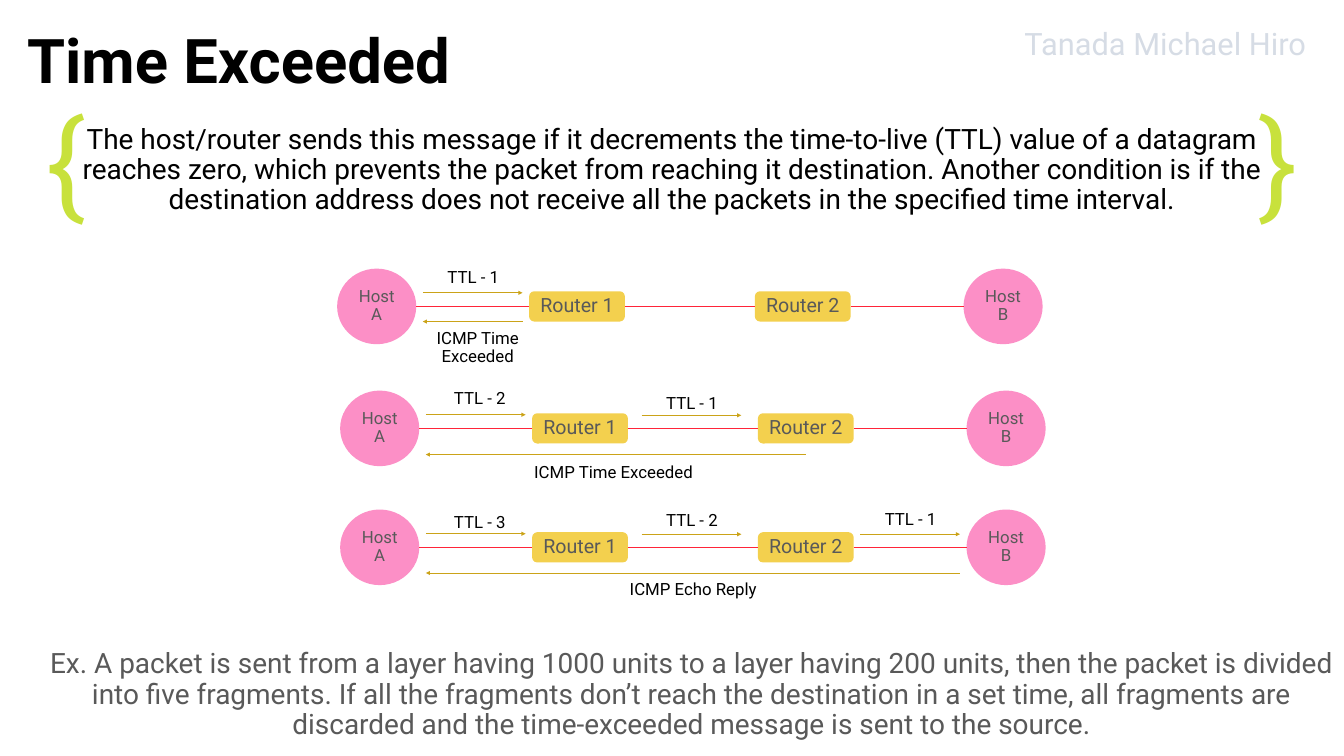
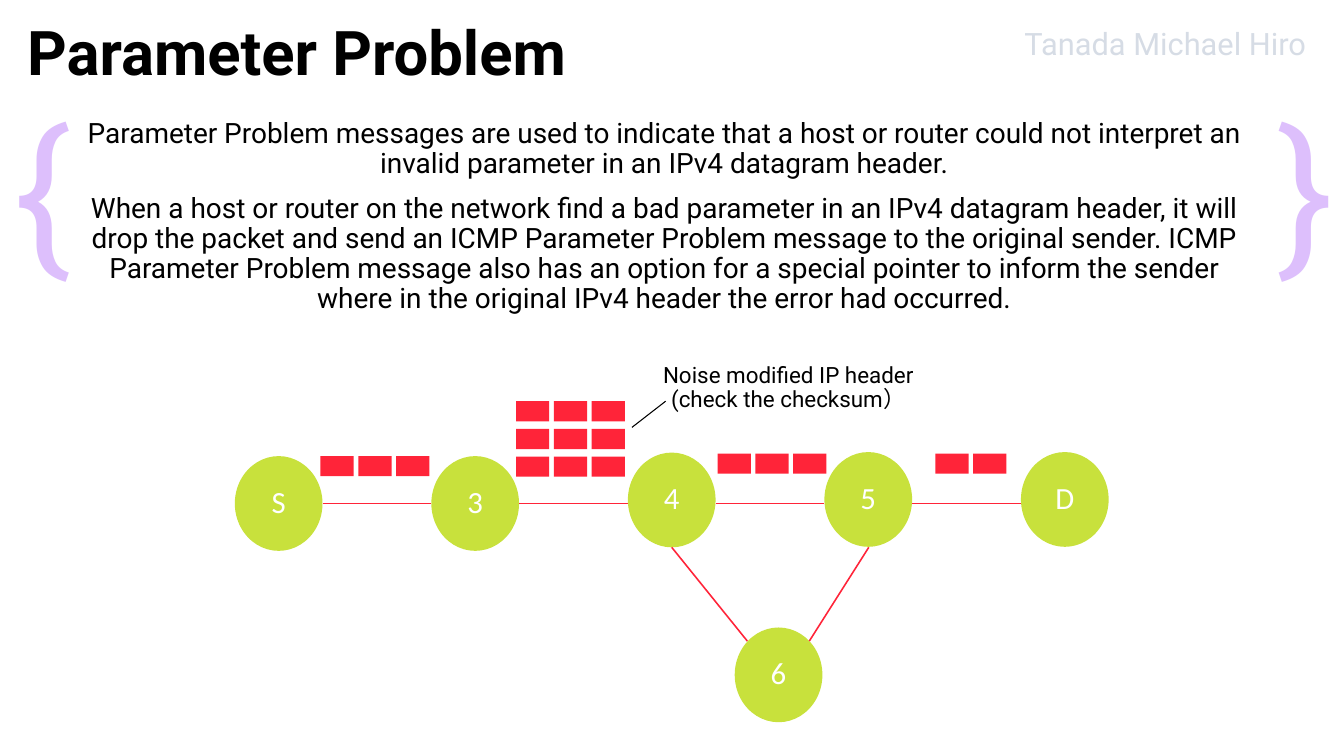
from dataclasses import dataclass
from typing import NamedTuple

from lxml import etree
from pptx import Presentation
from pptx.dml.color import RGBColor
from pptx.enum.shapes import MSO_CONNECTOR, MSO_SHAPE
from pptx.enum.text import MSO_ANCHOR, MSO_AUTO_SIZE, PP_ALIGN
from pptx.oxml.ns import qn
from pptx.util import Emu, Pt

LEFT, CENTER = PP_ALIGN.LEFT, PP_ALIGN.CENTER
TOP, MIDDLE = MSO_ANCHOR.TOP, MSO_ANCHOR.MIDDLE
ELLIPSE, RECT, ROUNDED = MSO_SHAPE.OVAL, MSO_SHAPE.RECTANGLE, MSO_SHAPE.ROUNDED_RECTANGLE
STRAIGHT = MSO_CONNECTOR.STRAIGHT
FIT_SHAPE = MSO_AUTO_SIZE.SHAPE_TO_FIT_TEXT

# Shared look: 100 px to the inch
EMU_PER_PX = 9144
SLIDE_W, SLIDE_H = 2667, 1500
COLORS = {
    "black": "000000",
    "white": "FFFFFF",
    "gray": "595959",
    "pale": "D6DCE5",
    "pink": "FC8FC6",
    "yellow": "F3D04E",
    "red": "FF2439",
    "gold": "CBA318",
    "lime": "C8E13C",
    "lilac": "DDBFFC",
}


class Box(NamedTuple):
    x: int
    y: int
    w: int
    h: int


class Point(NamedTuple):
    x: int
    y: int


@dataclass(frozen=True)
class TextStyle:
    size: int
    color: str = "black"
    align: PP_ALIGN = CENTER
    bold: bool = False
    font: str = "Roboto"


TITLE = TextStyle(88, align=LEFT, bold=True)
AUTHOR = TextStyle(44, "pale", LEFT)
BODY = TextStyle(40)
EXAMPLE = TextStyle(40, "gray")
HOST = TextStyle(24, "gray")
ROUTER = TextStyle(28, "gray")
HOP_LABEL = TextStyle(24, align=LEFT)
REPLY_LABEL = TextStyle(24)
NODE = TextStyle(44, "white", font="Calibri")
NOTE = TextStyle(32)


# Drawing helpers
def px(length: int) -> Emu:
    return Emu(length * EMU_PER_PX)


def rgb(name: str) -> RGBColor:
    return RGBColor.from_string(COLORS[name])


def fill_text(frame, lines: list[str], style: TextStyle, gap: int = 0) -> None:
    for index, line in enumerate(lines):
        paragraph = frame.paragraphs[0] if index == 0 else frame.add_paragraph()
        paragraph.text = line
        paragraph.alignment = style.align
        paragraph.line_spacing = 0.9
        if index:
            paragraph.space_before = Pt(gap)
        paragraph.font.name = style.font
        paragraph.font.size = Pt(style.size)
        paragraph.font.bold = style.bold
        paragraph.font.color.rgb = rgb(style.color)


def add_text(slide, box: Box, lines: list[str], style: TextStyle, *, wrap: bool = True,
             grow: bool = True, anchor: MSO_ANCHOR = TOP, gap: int = 0):
    frame = slide.shapes.add_textbox(*map(px, box)).text_frame
    frame.word_wrap = wrap
    frame.vertical_anchor = anchor
    if grow:
        frame.auto_size = FIT_SHAPE
    fill_text(frame, lines, style, gap)
    return frame


def add_block(slide, kind: MSO_SHAPE, box: Box, color: str, label: str = "",
              style: TextStyle = NODE) -> None:
    block = slide.shapes.add_shape(kind, *map(px, box))
    block.shadow.inherit = False
    block.fill.solid()
    block.fill.fore_color.rgb = rgb(color)
    block.line.fill.background()
    if label:
        block.text_frame.vertical_anchor = MIDDLE
        fill_text(block.text_frame, [label], style)


def add_line(slide, start: Point, end: Point, color: str, width: float,
             arrow: bool = False) -> None:
    line = slide.shapes.add_connector(STRAIGHT, *map(px, (*start, *end)))
    line.line.color.rgb = rgb(color)
    line.line.width = Pt(width)
    properties = line._element.spPr
    if arrow:
        etree.SubElement(properties.find(qn("a:ln")), qn("a:tailEnd"), type="triangle")
    etree.SubElement(properties, qn("a:effectLst"))


def add_braces(slide, left: Box, right_x: int, size: int, color: str) -> None:
    for brace, x in (("{", left.x), ("}", right_x)):
        add_text(slide, left._replace(x=x), [brace], TextStyle(size, color, LEFT), wrap=False)


def start_slide(deck, title: str, title_y: int):
    slide = deck.slides.add_slide(deck.slide_layouts[6])
    add_text(slide, Box(44, title_y, 1357, 290), [title], TITLE, grow=False, anchor=MIDDLE)
    author = add_text(slide, Box(2027, 52, 581, 78), ["Tanada Michael Hiro"], AUTHOR,
                      wrap=False, anchor=MIDDLE)
    author.margin_left = author.margin_right = px(6)
    author.margin_top = author.margin_bottom = px(6)
    return slide


# Slide 1: routes between two hosts, places relative to host A
HOST_W, HOST_H, HOST_B_X = 157, 150, 1243
ROUTER_W, ROUTER_H, ROUTER_Y = 190, 60, 45
ROUTER_XS = (381, 829)
HOP_STARTS = (Point(170, 48), Point(598, 49), Point(1032, 49))
HOP_W = 198


@dataclass(frozen=True)
class Route:
    origin: Point
    hop_labels: tuple[tuple[str, Point], ...]
    reply_from: Point
    reply_lines: list[str]
    reply_box: Box
    reply_wraps: bool = True


ROUTES = (
    Route(Point(669, 533), (("TTL - 1", Point(878, 528)),), Point(368, 105),
          ["ICMP Time", "Exceeded"], Box(854, 650, 188, 83), reply_wraps=False),
    Route(Point(675, 775), (("TTL - 2", Point(891, 769)), ("TTL - 1", Point(1312, 778))),
          Point(924, 127), ["ICMP Time Exceeded"], Box(973, 915, 489, 47)),
    Route(Point(675, 1011), (("TTL - 3", Point(891, 1014)), ("TTL - 2", Point(1312, 1011)),
                             ("TTL - 1", Point(1746, 1009))),
          Point(1230, 126), ["ICMP Echo Reply"], Box(1131, 1147, 489, 47)),
)


def draw_route(slide, route: Route) -> None:
    def at(x: int, y: int) -> Point:
        return Point(route.origin.x + x, route.origin.y + y)

    # Hosts and routers
    for name, x in (("Host A", 0), ("Host B", HOST_B_X)):
        add_block(slide, ELLIPSE, Box(*at(x, 0), HOST_W, HOST_H), "pink", name, HOST)
    for number, x in enumerate(ROUTER_XS, 1):
        add_block(slide, ROUNDED, Box(*at(x, ROUTER_Y), ROUTER_W, ROUTER_H), "yellow",
                  f"Router {number}", ROUTER)

    # Links from each station to the next
    link_starts = (HOST_W, *(x + ROUTER_W for x in ROUTER_XS))
    for start, end in zip(link_starts, (*ROUTER_XS, HOST_B_X)):
        add_line(slide, at(start, HOST_H // 2), at(end, HOST_H // 2), "red", 1)

    # Hops out and the reply back
    for (label, place), hop in zip(route.hop_labels, HOP_STARTS):
        add_line(slide, at(*hop), at(hop.x + HOP_W, hop.y), "gold", 1, arrow=True)
        add_text(slide, Box(*place, 129, 47), [label], HOP_LABEL, wrap=False)
    reply = route.reply_from
    add_line(slide, at(*reply), at(HOP_STARTS[0].x, reply.y), "gold", 1, arrow=True)
    add_text(slide, route.reply_box, route.reply_lines, REPLY_LABEL, wrap=route.reply_wraps)


def build_time_exceeded(deck) -> None:
    slide = start_slide(deck, "Time Exceeded", -18)
    add_text(slide, Box(92, 243, 2482, 195), [
        "The host/router sends this message if it decrements the time-to-live (TTL) value of a "
        "datagram reaches zero, which prevents the packet from reaching it destination. Another "
        "condition is if the destination address does not receive all the packets in the "
        "specified time interval."], BODY, grow=False)
    add_text(slide, Box(82, 1284, 2580, 192), [
        "Ex. A packet is sent from a layer having 1000 units to a layer having 200 units, then "
        "the packet is divided into five fragments. If all the fragments don’t reach the "
        "destination in a set time, all fragments are discarded and the time-exceeded message "
        "is sent to the source."], EXAMPLE)
    add_braces(slide, Box(82, 202, 98, 263), 2487, 166, "lime")
    for route in ROUTES:
        draw_route(slide, route)


# Slide 2: a chain of nodes with a detour and packets on the links
NODE_W, NODE_H = 174, 188
CHAIN_X, CHAIN_PITCH, LINK_Y = 466, 390, 999
CHAIN = (("S", 905), ("3", 905), ("4", 898), ("5", 897), ("D", 897))
DETOUR_NODE = Box(1458, 1245, NODE_W, NODE_H)
DETOUR_LINKS = ((Point(1333, 1086), Point(1483, 1272)), (Point(1724, 1086), Point(1606, 1272)))
PACKET_W, PACKET_H = 66, 40
PACKET_PITCH = Point(75, 55)


class PacketGrid(NamedTuple):
    x: int
    y: int
    columns: int
    rows: int = 1


PACKET_GRIDS = (PacketGrid(636, 905, 3), PacketGrid(1024, 796, 3, 3),
                PacketGrid(1424, 900, 3), PacketGrid(1856, 900, 2))


def draw_packets(slide, grid: PacketGrid) -> None:
    for row in range(grid.rows):
        for column in range(grid.columns):
            add_block(slide, RECT, Box(grid.x + column * PACKET_PITCH.x,
                                       grid.y + row * PACKET_PITCH.y,
                                       PACKET_W, PACKET_H), "red")


def build_parameter_problem(deck) -> None:
    slide = start_slide(deck, "Parameter Problem", -35)
    add_text(slide, Box(131, 232, 2374, 418), [
        "Parameter Problem messages are used to indicate that a host or router could not "
        "interpret an invalid parameter in an IPv4 datagram header.",
        "When a host or router on the network find a bad parameter in an IPv4 datagram header, "
        "it will drop the packet and send an ICMP Parameter Problem message to the original "
        "sender. ICMP Parameter Problem message also has an option for a special pointer to "
        "inform the sender where in the original IPv4 header the error had occurred."],
        BODY, grow=False, gap=20)
    add_braces(slide, Box(18, 209, 132, 374), 2526, 239, "lilac")

    # Nodes and links
    for index, (name, y) in enumerate(CHAIN):
        x = CHAIN_X + index * CHAIN_PITCH
        add_block(slide, ELLIPSE, Box(x, y, NODE_W, NODE_H), "lime", name)
        if index < len(CHAIN) - 1:
            add_line(slide, Point(x + NODE_W, LINK_Y), Point(x + CHAIN_PITCH, LINK_Y),
                     "red", 2.25)
    add_block(slide, ELLIPSE, DETOUR_NODE, "lime", "6")
    for start, end in DETOUR_LINKS:
        add_line(slide, start, end, "red", 2.25)

    # Packets and the note on the damaged ones
    for grid in PACKET_GRIDS:
        draw_packets(slide, grid)
    add_text(slide, Box(1303, 718, 523, 107),
             ["Noise modified IP header", "(check the checksum）"], NOTE, wrap=False)
    add_line(slide, Point(1321, 796), Point(1254, 848), "black", 1.5)


def main() -> None:
    deck = Presentation()
    deck.slide_width, deck.slide_height = px(SLIDE_W), px(SLIDE_H)
    build_time_exceeded(deck)
    build_parameter_problem(deck)
    deck.save("out.pptx")


if __name__ == "__main__":
    main()
